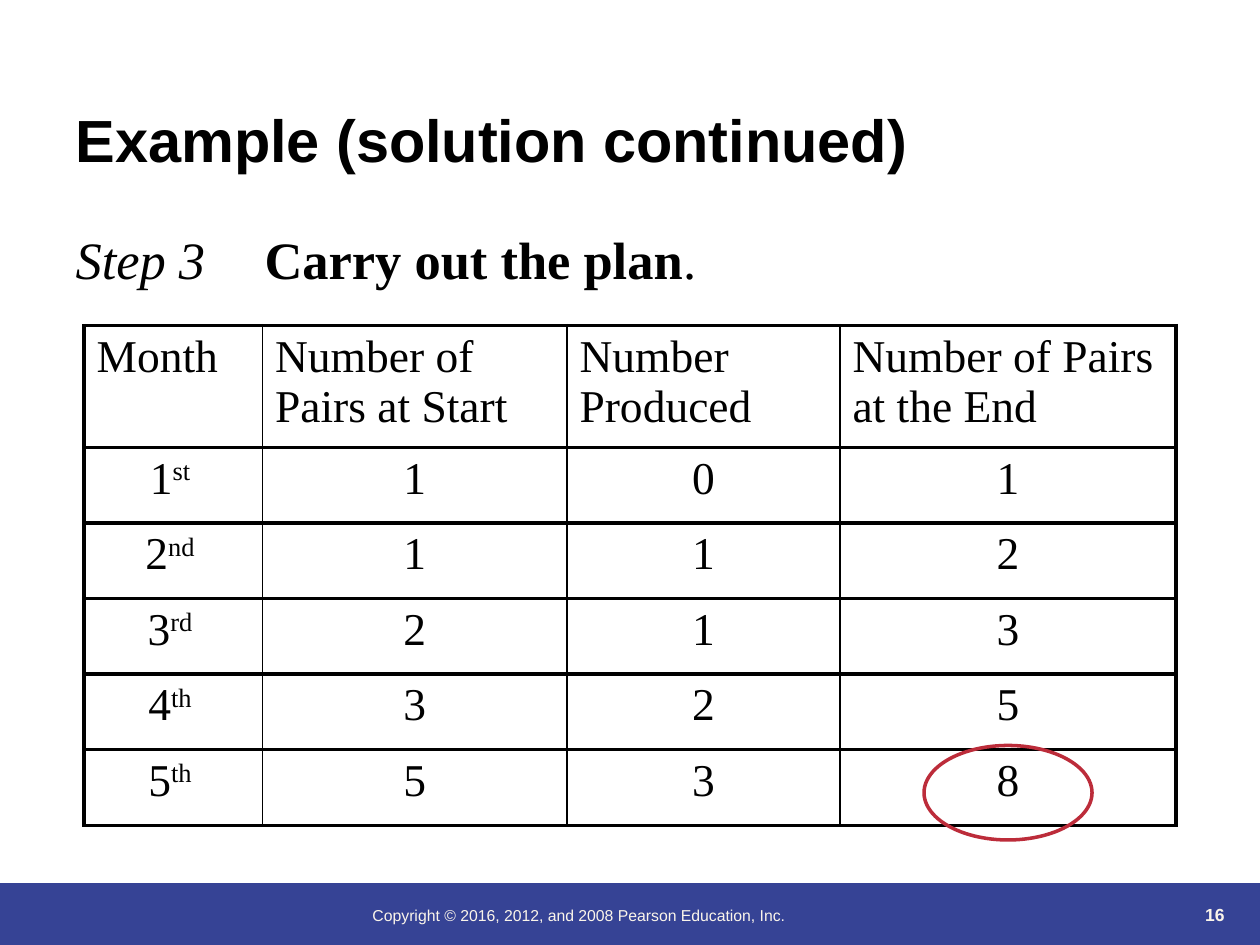
"""Build the slide that carries out the plan of the rabbit-pairs example."""
from lxml import etree
from pptx import Presentation
from pptx import util as u
from pptx.dml.color import RGBColor
from pptx.enum import shapes, text
from pptx.oxml import ns

COLORS = {"ink": "000000", "band": "364395", "cream": "FBF5EA", "ring": "BC2C3A"}
SANS, SERIF = "Arial", "Times New Roman"
GRID_COLUMNS, GRID_ROWS = 120, 90
HEADINGS = ["Month", "Number of Pairs at Start", "Number Produced", "Number of Pairs at the End"]
MONTHS = [("1", "st ", 1, 0, 1), ("2", "nd ", 1, 1, 2), ("3", "rd ", 2, 1, 3),
          ("4", "th ", 3, 2, 5), ("5", "th ", 5, 3, 8)]


class SlideBuilder:
    """Hold the style and the current slide, with a method per kind of element."""

    def __init__(self, deck):
        """Add a title-and-content slide to the deck."""
        deck.slide_width, deck.slide_height = u.Inches(10), u.Inches(7.5)
        self.column = deck.slide_width / GRID_COLUMNS
        self.row = deck.slide_height / GRID_ROWS
        self.slide = deck.slides.add_slide(deck.slide_layouts[1])

    def box(self, left, top, width, height):
        """Turn grid columns and rows into slide lengths."""
        return [round(n * s) for n, s in zip((left, top, width, height), (self.column, self.row) * 2)]

    def add_words(self, paragraph, words, size, face, color="ink", **style):
        """Add one formatted run to a paragraph."""
        run = paragraph.add_run()
        run.text = words
        settings = {"size": u.Pt(size), "name": face, "bold": False, "italic": False} | style
        for key, value in settings.items():
            setattr(run.font, key, value)
        run.font.color.rgb = RGBColor.from_string(COLORS[color])
        return run

    def placeholder(self, index, place, anchor):
        """Move a template placeholder and return its left-aligned paragraph."""
        holder = self.slide.placeholders[index]
        for key, value in zip(("left", "top", "width", "height"), self.box(*place)):
            setattr(holder, key, value)
        frame = holder.text_frame
        frame.auto_size, frame.vertical_anchor = text.MSO_AUTO_SIZE.NONE, anchor
        paragraph = frame.paragraphs[0]
        paragraph.alignment, paragraph.space_before = text.PP_ALIGN.LEFT, u.Pt(0)
        return paragraph

    def title(self, words):
        """Fill the title placeholder."""
        paragraph = self.placeholder(0, (6, 2.2, 108, 15), text.MSO_ANCHOR.BOTTOM)
        self.add_words(paragraph, words, 34, SANS, bold=True)

    def step(self, label, instruction):
        """Fill the body placeholder with a step label and its tabbed instruction."""
        paragraph = self.placeholder(1, (6, 21, 108, 7.8), text.MSO_ANCHOR.TOP)
        properties = paragraph._p.get_or_add_pPr()
        properties.set("marL", "0")
        properties.set("indent", "0")
        etree.SubElement(properties, ns.qn("a:buNone"))
        tabs = etree.SubElement(properties, ns.qn("a:tabLst"))
        etree.SubElement(tabs, ns.qn("a:tab"), pos=str(u.Inches(2)), algn="l")
        self.add_words(paragraph, label + "\t", 30, SERIF, italic=True)
        self.add_words(paragraph, instruction, 30, SERIF, bold=True)
        self.add_words(paragraph, ".", 30, SERIF)

    def shape(self, kind, place, fill=None, line=None):
        """Draw a preset shape with an optional fill and outline."""
        figure = self.slide.shapes.add_shape(kind, *self.box(*place))
        figure.shadow.inherit = False
        for paint, color in ((figure.fill, fill), (figure.line.fill, line)):
            if color:
                paint.solid()
                paint.fore_color.rgb = RGBColor.from_string(COLORS[color])
            else:
                paint.background()
        if line:
            figure.line.width = u.Pt(2)

    def label(self, words, place, size, align, anchor, **style):
        """Add a small cream text on the footer band."""
        frame = self.slide.shapes.add_textbox(*self.box(*place)).text_frame
        frame.word_wrap, frame.vertical_anchor = True, anchor
        frame.paragraphs[0].alignment = align
        self.add_words(frame.paragraphs[0], words, size, SANS, "cream", **style)

    def border(self, cell, widths):
        """Rule the four sides of a cell, given widths in points by side."""
        properties = cell._tc.get_or_add_tcPr()
        for side, width in widths.items():
            rule = etree.SubElement(properties, ns.qn(f"a:ln{side}"), w=str(u.Pt(width)))
            paint = etree.SubElement(rule, ns.qn("a:solidFill"))
            etree.SubElement(paint, ns.qn("a:srgbClr"), val=COLORS["ink"])

    def table(self, headings, months, place, widths, heights):
        """Add the ruled table of months and pairs."""
        grid = self.slide.shapes.add_table(len(heights), len(widths), *self.box(*place)).table
        grid.first_row = grid.horz_banding = False
        for column, width in zip(grid.columns, widths):
            column.width = round(width * self.column)
        for row, height in zip(grid.rows, heights):
            row.height = round(height * self.row)
        body = [[(number, ordinal), *((str(n),) for n in counts)] for number, ordinal, *counts in months]
        last = len(widths) - 1
        for r, contents in enumerate([[(heading,) for heading in headings], *body]):
            for c, parts in enumerate(contents):
                cell = grid.cell(r, c)
                self.border(cell, {"L": 1 if c else 2.25, "R": 2.25 if c == last else 1,
                                   "T": 2.25, "B": 2.25})
                cell.fill.background()
                paragraph = cell.text_frame.paragraphs[0]
                paragraph.alignment = text.PP_ALIGN.CENTER if r else text.PP_ALIGN.LEFT
                for order, part in enumerate(parts):
                    run = self.add_words(paragraph, part, 26, SERIF)
                    if order:
                        run.font._element.set("baseline", "30000")


def main():
    """Build and save the slide."""
    deck = Presentation()
    page = SlideBuilder(deck)
    page.shape(shapes.MSO_SHAPE.RECTANGLE, (0, 84.1, 120, 5.9), fill="band")
    page.label("Copyright © 2016, 2012, and 2008 Pearson Education, Inc.", (34.3, 85.7, 59, 6), 9,
               text.PP_ALIGN.LEFT, text.MSO_ANCHOR.TOP)
    page.label("16", (106.8, 82.7, 11, 6), 10, text.PP_ALIGN.RIGHT, text.MSO_ANCHOR.BOTTOM, bold=True)
    page.title("Example (solution continued)")
    page.step("Step 3", "Carry out the plan")
    page.table(HEADINGS, MONTHS, (8, 31, 104, 47.6), (17, 29, 26, 32), [11.6] + [7.2] * len(MONTHS))
    page.shape(shapes.MSO_SHAPE.OVAL, (88, 71, 16, 9), line="ring")
    deck.save("out.pptx")


if __name__ == "__main__":
    main()
